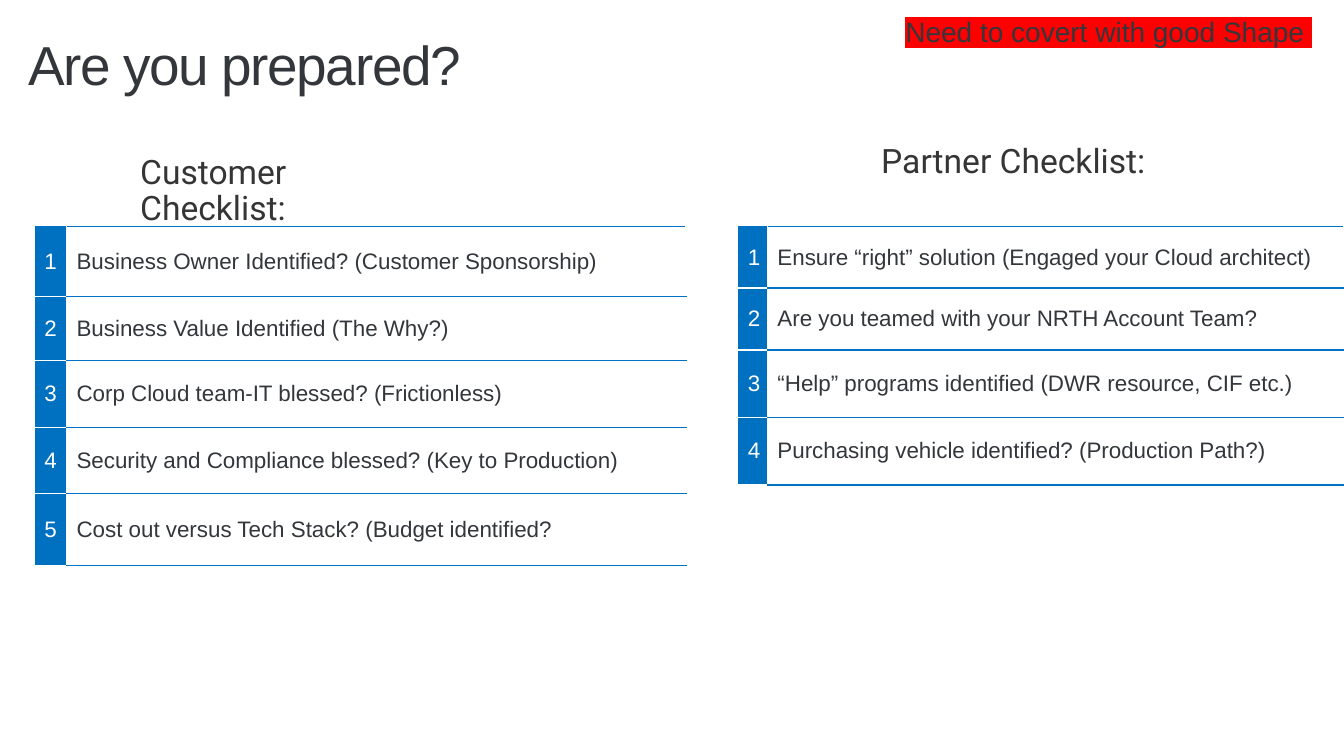
import pptx
import pptx.dml.color
import pptx.enum.text
import pptx.oxml.ns
import pptx.util
from dataclasses import dataclass
from lxml import etree


@dataclass(frozen=True)
class Theme:
    ink: str = "33373B"
    heading: str = "353535"
    white: str = "FFFFFF"
    number_fill: str = "0070C0"
    rule: str = "0072C6"
    marker: str = "FF0000"
    body_font: str = "Arial"
    heading_font: str = "Roboto"
    title_size: float = 39.2
    heading_size: float = 24
    note_size: float = 20
    cell_size: float = 16


THEME = Theme()
SLIDE_W = pptx.util.Inches(13.33)
SLIDE_H = pptx.util.Inches(7.5)
TABLE_TOP = 30

CUSTOMER_ITEMS = [
    "Business Owner Identified? (Customer Sponsorship)",
    "Business Value Identified (The Why?)",
    "Corp Cloud team-IT blessed? (Frictionless)",
    "Security and Compliance blessed? (Key to Production)",
    "Cost out versus Tech Stack? (Budget identified?",
]
PARTNER_ITEMS = [
    "Ensure “right” solution (Engaged your Cloud architect)",
    "Are you teamed with your NRTH Account Team?",
    "“Help” programs identified (DWR resource, CIF etc.)",
    "Purchasing vehicle identified? (Production Path?)",
]


def across(percent):
    """Share of the slide's width."""
    return round(SLIDE_W * percent / 100)


def down(percent):
    """Share of the slide's height."""
    return round(SLIDE_H * percent / 100)


def rgb(color):
    return pptx.dml.color.RGBColor.from_string(color)


def style_run(r, font, size, color):
    r.font.size = pptx.util.Pt(size)
    r.font.color.rgb = rgb(color)
    r.font.name = font


def add_text(slide, text, box, font, size, color, inset=(0.2, 0.16),
             line_spacing=0.9, space_after=0):
    """Text box; box is left, top, width, height in percent of the slide."""
    left, top, width, height = box
    sp = slide.shapes.add_textbox(across(left), down(top),
                                  across(width), down(height))
    tf = sp.text_frame
    tf.word_wrap = True
    tf.auto_size = pptx.enum.text.MSO_AUTO_SIZE.SHAPE_TO_FIT_TEXT
    tf.margin_left = tf.margin_right = pptx.util.Inches(inset[0])
    tf.margin_top = tf.margin_bottom = pptx.util.Inches(inset[1])
    tf.text = text
    p = tf.paragraphs[0]
    p.line_spacing = line_spacing
    p.space_after = pptx.util.Pt(space_after)
    r = p.runs[0]
    style_run(r, font, size, color)
    return r


def tighten(r, points):
    r.font._element.set("spc", str(round(points * 100)))


def highlight(r, color):
    qn = pptx.oxml.ns.qn
    mark = etree.Element(qn("a:highlight"))
    etree.SubElement(mark, qn("a:srgbClr"), val=color)
    r.font._element.find(qn("a:solidFill")).addnext(mark)


def set_borders(cell, sides):
    """Draw 1 pt borders; sides pairs each border tag with a colour."""
    qn = pptx.oxml.ns.qn
    tc_pr = cell._tc.get_or_add_tcPr()
    for i, (side, color) in enumerate(sides):
        ln = etree.Element(qn(f"a:{side}"), w=str(pptx.util.Pt(1)))
        fill = etree.SubElement(ln, qn("a:solidFill"))
        etree.SubElement(fill, qn("a:srgbClr"), val=color)
        tc_pr.insert(i, ln)


def fill_cell(cell, text, color, top, bottom):
    cell.vertical_anchor = pptx.enum.text.MSO_ANCHOR.MIDDLE
    cell.text_frame.text = text
    style_run(cell.text_frame.paragraphs[0].runs[0],
              THEME.body_font, THEME.cell_size, color)
    set_borders(cell, [("lnL", THEME.white), ("lnR", THEME.white),
                       ("lnT", top), ("lnB", bottom)])


def add_checklist(slide, items, left, columns, rows):
    """Numbered table; columns and rows are percent of the slide."""
    table = slide.shapes.add_table(
        len(items), len(columns), across(left), down(TABLE_TOP),
        across(sum(columns)), down(sum(rows))).table
    table.first_row = False
    table.horz_banding = False
    for column, width in zip(table.columns, columns):
        column.width = across(width)
    for i, (item, height) in enumerate(zip(items, rows)):
        table.rows[i].height = down(height)
        number, label = table.cell(i, 0), table.cell(i, 1)
        number.fill.solid()
        number.fill.fore_color.rgb = rgb(THEME.number_fill)
        label.fill.background()
        number_top = THEME.white if i else THEME.rule
        fill_cell(number, str(i + 1), THEME.white, number_top, THEME.white)
        fill_cell(label, item, THEME.ink, THEME.rule, THEME.rule)


def add_heading(slide, text, box):
    add_text(slide, text, box, THEME.heading_font, THEME.heading_size,
             THEME.heading, space_after=6)


def main():
    prs = pptx.Presentation()
    prs.slide_width, prs.slide_height = SLIDE_W, SLIDE_H
    slide = prs.slides.add_slide(prs.slide_layouts[6])

    # Checklists
    add_checklist(slide, CUSTOMER_ITEMS, 2.55, (2.4, 46.1),
                  (9.2, 8.53, 8.8, 8.8, 9.47))
    add_checklist(slide, PARTNER_ITEMS, 54.9, (2.2, 42.9),
                  (8.1, 8.2, 8.93, 8.93))

    # Title and checklist headings
    title = add_text(slide, "Are you prepared?", (0.6, 2.93, 67.2, 12.53),
                     THEME.body_font, THEME.title_size, THEME.ink)
    tighten(title, -1)
    add_heading(slide, "Customer Checklist:", (8.93, 18.4, 25.1, 9.2))
    add_heading(slide, "Partner Checklist:", (64.07, 16.93, 36.6, 9.2))

    # Highlighted note
    note = add_text(slide, "Need to covert with good Shape ",
                    (66.62, 0.53, 33.98, 7.2), THEME.body_font,
                    THEME.note_size, THEME.ink, inset=(0.1, 0.1),
                    line_spacing=1)
    highlight(note, THEME.marker)

    prs.save("out.pptx")


if __name__ == "__main__":
    main()
